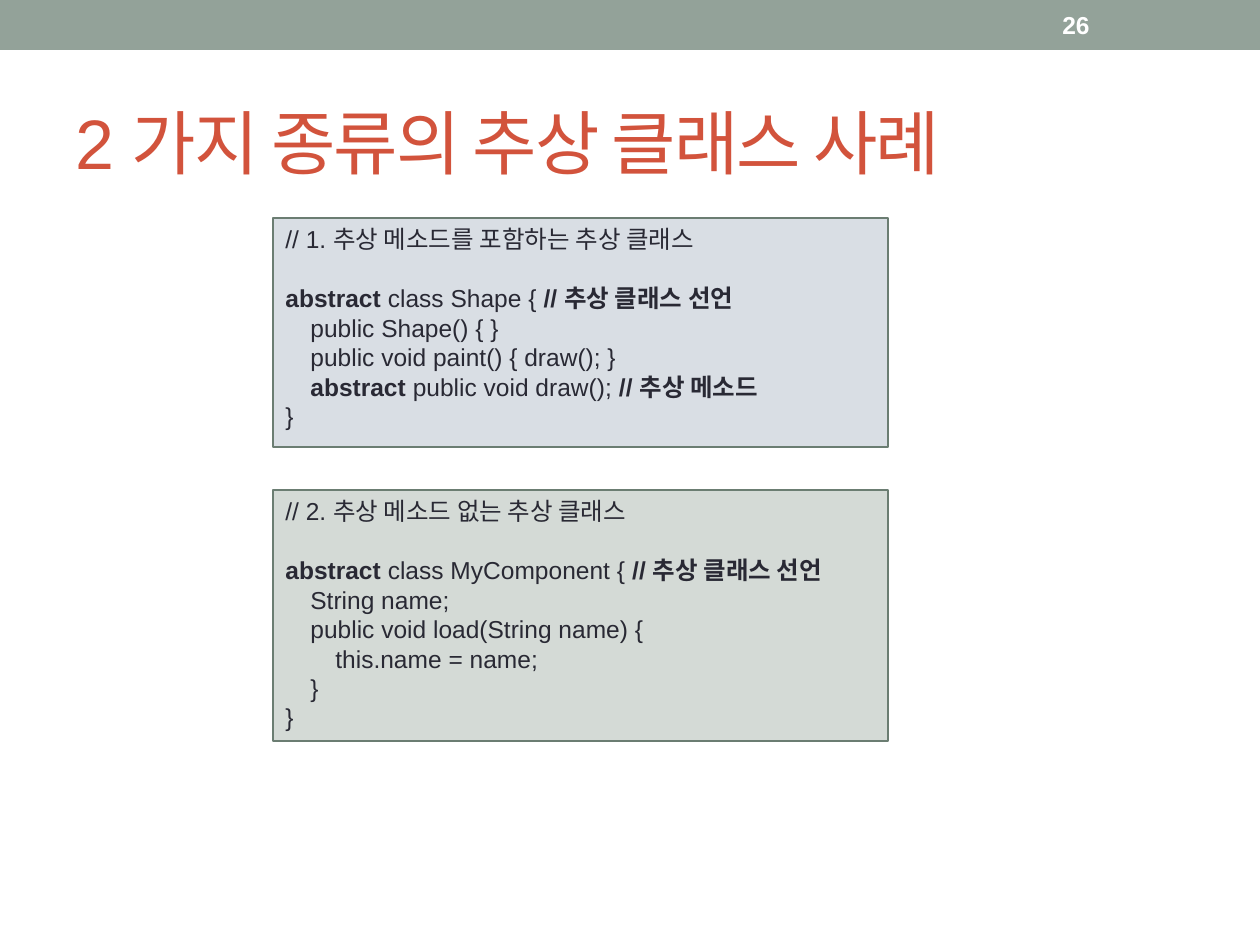
from lxml.etree import SubElement
from pptx import Presentation
from pptx.dml.color import RGBColor
from pptx.enum.shapes import MSO_SHAPE
from pptx.enum.text import MSO_ANCHOR, PP_ALIGN
from pptx.oxml.ns import qn
from pptx.util import Pt

PX = 914400 // 126
FONT = "Arial"
WHITE = RGBColor(0xFF, 0xFF, 0xFF)
SAGE = RGBColor(0x93, 0xA2, 0x99)
RED = RGBColor(0xD2, 0x53, 0x3C)
INK = RGBColor(0x29, 0x29, 0x34)
BORDER = RGBColor(0x6B, 0x7D, 0x72)
PALE_BLUE = RGBColor(0xD9, 0xDE, 0xE4)
PALE_GREEN = RGBColor(0xD4, 0xDA, 0xD6)

TAB_WIDTH = 25
BOLD_MARK = "**"
SHAPE_CODE = [
    "**abstract **class Shape { **// 추상 클래스 선언**",
    "\tpublic Shape() { }",
    "\tpublic void paint() { draw(); }",
    "\t**abstract** public void draw(); **// 추상 메소드**",
    "}",
]
COMPONENT_CODE = [
    "**abstract** class MyComponent { **// 추상 클래스 선언**",
    "\tString name;",
    "\tpublic void load(String name) {",
    "\t\tthis.name = name;",
    "\t}",
    "}",
]


def scale(*lengths):
    return [length * PX for length in lengths]


def style_font(font, size, color, bold=None):
    font.name = FONT
    font.size = Pt(size)
    font.color.rgb = color
    font.bold = bold


def add_rectangle(slide, box, fill, line=None):
    shape = slide.shapes.add_shape(MSO_SHAPE.RECTANGLE, *scale(*box))
    shape.shadow.inherit = False
    shape.fill.solid()
    shape.fill.fore_color.rgb = fill
    if line is None:
        shape.line.fill.background()
    else:
        shape.line.color.rgb = line
        shape.line.width = Pt(0.75)
    return shape


def add_label(slide, box, text, size, color, bold=None):
    frame = slide.shapes.add_textbox(*scale(*box)).text_frame
    frame.word_wrap = True
    frame.vertical_anchor = MSO_ANCHOR.MIDDLE
    paragraph = frame.paragraphs[0]
    run = paragraph.add_run()
    run.text = text
    style_font(paragraph.font, size, color, bold)
    return run


def add_header(slide, box, number):
    left, top, width, height = box
    add_rectangle(slide, box, SAGE)
    add_label(slide, (left + 1050, top + 2, 147, height - 4), number, 14, WHITE, True)


def add_title(slide, box, text):
    run = add_label(slide, box, text, 40, RED)
    run._r.get_or_add_rPr().set("spc", "-100")


def add_tab_stops(paragraph, count):
    tabs = SubElement(paragraph._p.get_or_add_pPr(), qn("a:tabLst"))
    for index in range(1, count + 1):
        SubElement(tabs, qn("a:tab"), pos=str(index * TAB_WIDTH * PX), algn="l")


def add_code_box(slide, box, fill, heading, code):
    frame = add_rectangle(slide, box, fill, BORDER).text_frame
    frame.word_wrap = True
    frame.vertical_anchor = MSO_ANCHOR.TOP
    for index, line in enumerate([heading, *code]):
        paragraph = frame.add_paragraph() if index else frame.paragraphs[0]
        paragraph.alignment = PP_ALIGN.LEFT
        add_tab_stops(paragraph, 2)
        if index == 1:
            paragraph.space_before = Pt(17)
        style_font(paragraph.font, 14, INK)
        for part, text in enumerate(line.split(BOLD_MARK)):
            if text:
                run = paragraph.add_run()
                run.text = text
                run.font.bold = part % 2 == 1
                run.font.color.rgb = INK


def main():
    presentation = Presentation()
    presentation.slide_width, presentation.slide_height = scale(1260, 945)
    slide = presentation.slides.add_slide(presentation.slide_layouts[6])
    add_header(slide, (0, 0, 1260, 50), "26")
    add_title(slide, (63, 73, 1134, 136), "2 가지 종류의 추상 클래스 사례")
    add_code_box(slide, (273, 218, 615, 229), PALE_BLUE,
                 "// 1. 추상 메소드를 포함하는 추상 클래스", SHAPE_CODE)
    add_code_box(slide, (273, 490, 615, 251), PALE_GREEN,
                 "// 2. 추상 메소드 없는 추상 클래스", COMPONENT_CODE)
    presentation.save("out.pptx")


if __name__ == "__main__":
    main()
